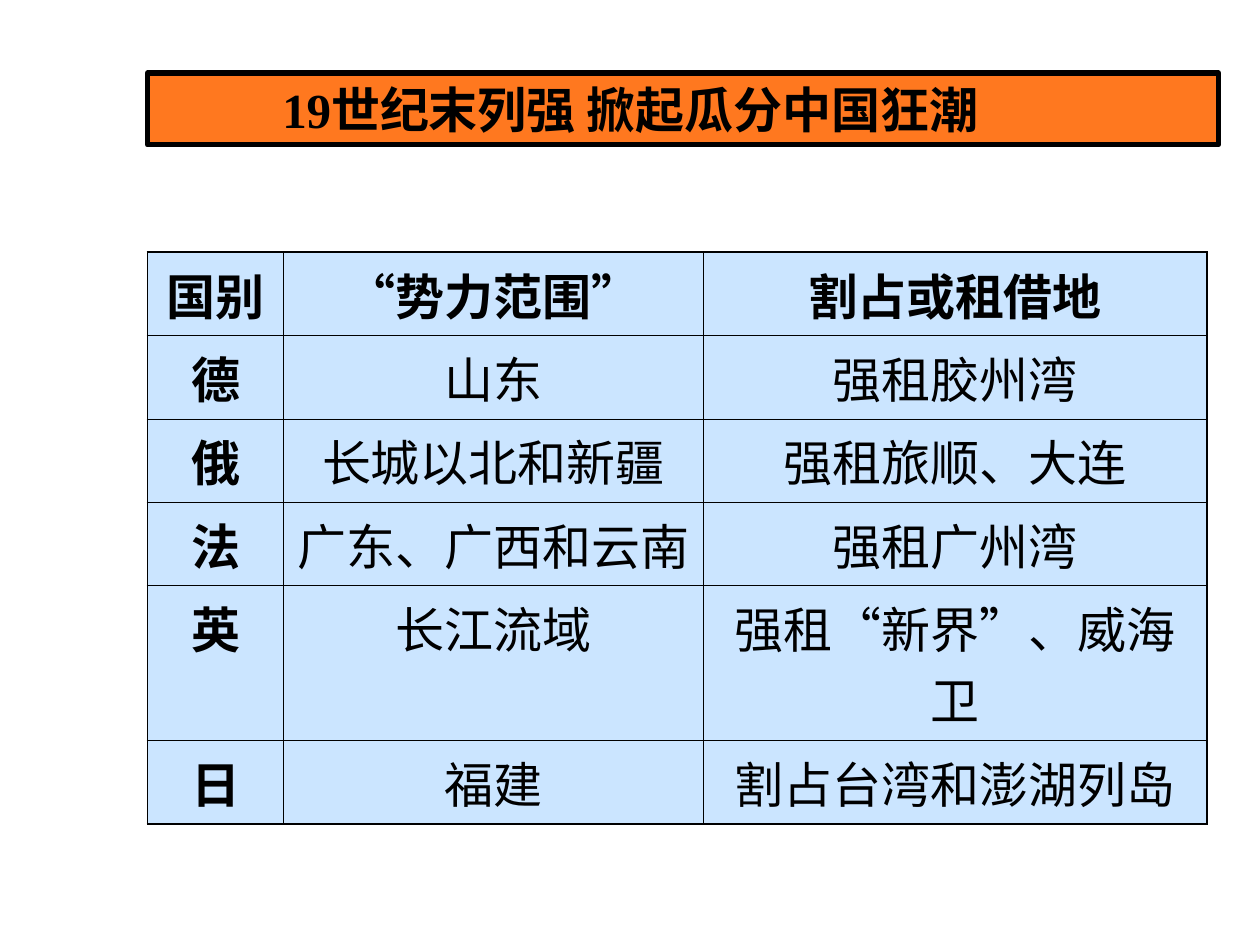
from lxml.etree import SubElement
from pptx import Presentation
from pptx.dml.color import RGBColor
from pptx.enum.text import MSO_ANCHOR, MSO_AUTO_SIZE, PP_ALIGN
from pptx.oxml.ns import qn
from pptx.util import Inches, Pt

COLORS = {"ink": "000000", "banner": "FF6600", "cell": "99CCFF"}
LATIN, CJK = "Times New Roman", "Noto Sans CJK SC"
TEXT_SIZE = Pt(28)
OUTER, INNER = Pt(1.08), Pt(0.45)

TITLE = "19世纪末列强 掀起瓜分中国狂潮"
COLUMNS = [1.08, 3.33, 4]
ROWS = [0.66, 0.66, 0.66, 0.66, 1.23, 0.66]
SPHERES = [
    ("国别", "“势力范围”", "割占或租借地"),
    ("德", "山东", "强租胶州湾"),
    ("俄", "长城以北和新疆", "强租旅顺、大连"),
    ("法", "广东、广西和云南", "强租广州湾"),
    ("英", "长江流域", "强租“新界”、威海卫"),
    ("日", "福建", "割占台湾和澎湖列岛"),
]


def tint(fill, color, alpha):
    """Fill with a colour at the given opacity in percent."""
    fill.solid()
    fill.fore_color.rgb = RGBColor.from_string(COLORS[color])
    srgb = fill._xPr.find(qn("a:solidFill"))[0]
    SubElement(srgb, qn("a:alpha"), val=str(alpha * 1000))


def style_text(paragraph, bold, align):
    paragraph.alignment = align
    font = paragraph.font
    font.size, font.bold, font.name = TEXT_SIZE, bold, LATIN
    font.color.rgb = RGBColor.from_string(COLORS["ink"])
    for run in paragraph.runs:
        SubElement(run._r.get_or_add_rPr(), qn("a:ea"), typeface=CJK)


def add_borders(cell, widths):
    """Draw the left, right, top and bottom edges, ahead of the cell's fill."""
    properties = cell._tc.get_or_add_tcPr()
    for place, (side, width) in enumerate(zip("LRTB", widths)):
        edge = SubElement(properties, qn(f"a:ln{side}"), w=str(int(width)))
        ink = SubElement(edge, qn("a:solidFill"))
        SubElement(ink, qn("a:srgbClr"), val=COLORS["ink"])
        properties.insert(place, edge)


def add_banner(slide, left, top, width, height):
    banner = slide.shapes.title
    banner.left, banner.top, banner.width, banner.height = map(
        Inches, (left, top, width, height))
    tint(banner.fill, "banner", 88)
    banner.line.color.rgb = RGBColor.from_string(COLORS["ink"])
    banner.line.width = Pt(3)
    frame = banner.text_frame
    frame.text = TITLE
    frame.auto_size = MSO_AUTO_SIZE.NONE
    frame.vertical_anchor = MSO_ANCHOR.MIDDLE
    frame.margin_left = Inches(1.07)
    style_text(frame.paragraphs[0], True, PP_ALIGN.LEFT)


def add_sphere_table(slide, left, top):
    table = slide.shapes.add_table(
        len(ROWS), len(COLUMNS), Inches(left), Inches(top),
        Inches(sum(COLUMNS)), Inches(sum(ROWS))).table
    for column, width in zip(table.columns, COLUMNS):
        column.width = Inches(width)
    for row, height in zip(table.rows, ROWS):
        row.height = Inches(height)
    last_row, last_col = len(ROWS) - 1, len(COLUMNS) - 1
    for r, entries in enumerate(SPHERES):
        for c, entry in enumerate(entries):
            cell = table.cell(r, c)
            tint(cell.fill, "cell", 50)
            on_rim = (c == 0, c == last_col, r == 0, r == last_row)
            add_borders(cell, [OUTER if rim else INNER for rim in on_rim])
            fill_cell(cell, entry, bold=r == 0 or c == 0)


def fill_cell(cell, entry, bold):
    """Write the entry, with its quotation marks in the Chinese font."""
    paragraph = cell.text_frame.paragraphs[0]
    for piece in entry.replace("“", "|“|").replace("”", "|”|").split("|"):
        if piece:
            run = paragraph.add_run()
            run.text = piece
            if piece in "“”":
                run.font.name = CJK
    paragraph.space_before = Pt(7)
    style_text(paragraph, bold, PP_ALIGN.CENTER)


def main():
    deck = Presentation()
    deck.slide_width, deck.slide_height = Inches(10), Inches(7.5)
    slide = deck.slides.add_slide(deck.slide_layouts[5])
    add_sphere_table(slide, 1.17, 2)
    add_banner(slide, 1.17, 0.58, 8.5, 0.57)
    deck.save("out.pptx")


if __name__ == "__main__":
    main()
